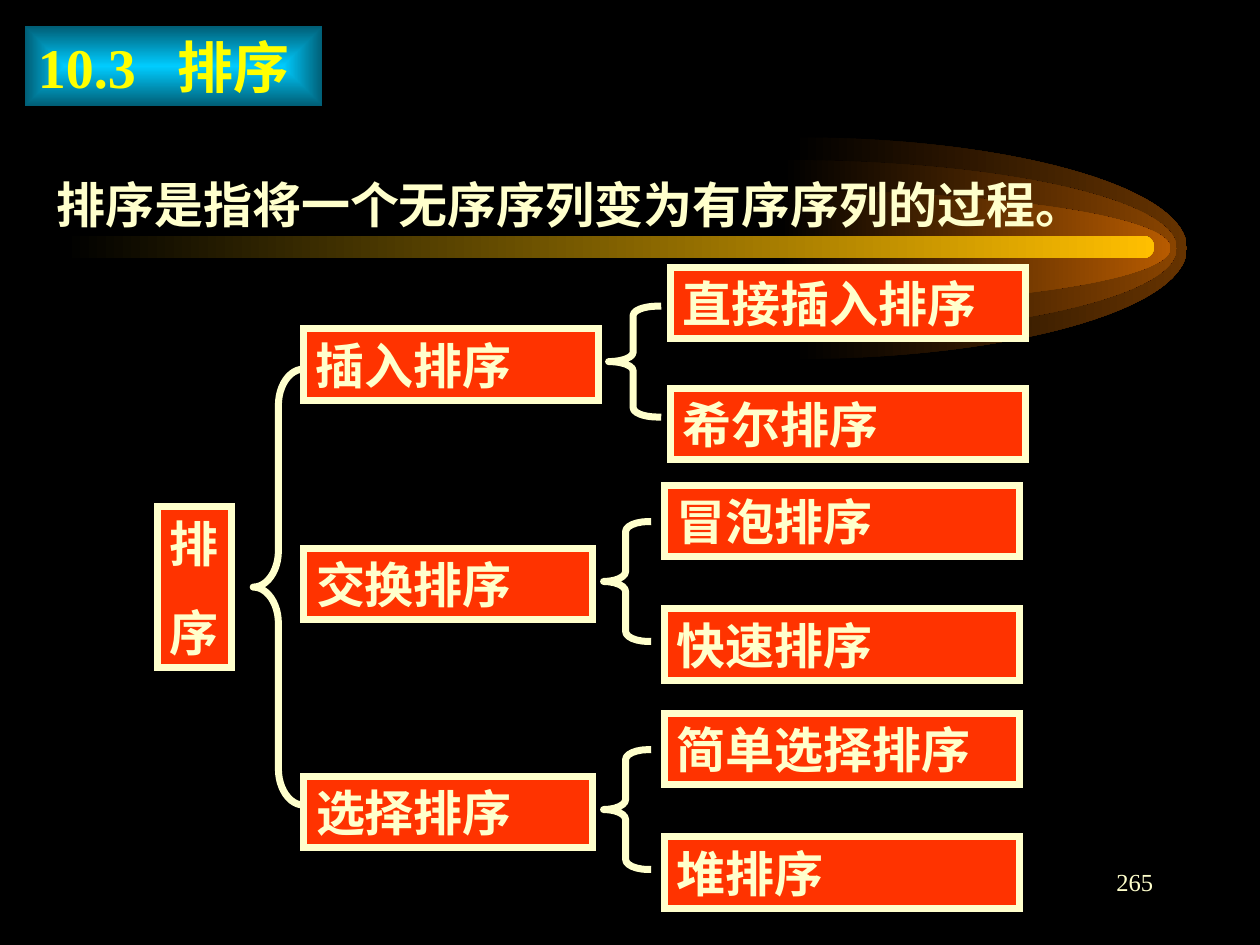
from lxml import etree
from pptx import Presentation
from pptx.dml.color import RGBColor
from pptx.enum.shapes import MSO_SHAPE as SHAPE
from pptx.enum.text import MSO_ANCHOR as ANCHOR, MSO_AUTO_SIZE as AUTO_SIZE, PP_ALIGN as ALIGN
from pptx.oxml.ns import qn
from pptx.util import Inches, Pt

COLORS = {
    "black": "000000",
    "cream": "FFFFCC",
    "red": "FF3300",
    "yellow": "FFFF00",
    "gold": "FFBF00",
    "cyan": "00CCFF",
    "teal": "005E76",
    "brown": "663300",
    "copper": "894400",
    "orange": "B75B00",
}
color = {name: RGBColor.from_string(value) for name, value in COLORS.items()}


def add_text(paragraph, text, size, name="cream", bold=True):
    run = paragraph.add_run()
    run.text = text
    run.font.name = "Times New Roman"
    run.font.size = Pt(size)
    run.font.bold = bold
    run.font.color.rgb = color[name]


def fill_gradient(shape, start, end):
    shape.fill.gradient()
    shape.fill.gradient_angle = 0
    for stop, name in zip(shape.fill.gradient_stops, (start, end)):
        stop.color.rgb = color[name]


presentation = Presentation()
presentation.slide_width = Inches(10)
presentation.slide_height = Inches(7.5)
slide = presentation.slides.add_slide(presentation.slide_layouts[5])
slide.background.fill.solid()
slide.background.fill.fore_color.rgb = color["black"]
shapes = slide.shapes

comet_y = 1.97
radius_x = 3.13
bend = 0.55
for center_x, radius_y, name in [
    (6.29, 0.88, "brown"),
    (6.21, 0.7, "copper"),
    (6.16, 0.46, "orange"),
]:
    builder = shapes.build_freeform(Inches(center_x), Inches(comet_y - radius_y))
    builder.add_line_segments(
        [
            (Inches(center_x + radius_x), Inches(comet_y)),
            (Inches(center_x), Inches(comet_y + radius_y)),
        ],
        close=True,
    )
    glow = builder.convert_to_shape()
    controls = [
        [(bend, 0), (1, 1 - bend)],
        [(1, 1 + bend), (bend, 2)],
    ]
    for segment, pair in zip(list(glow.element.iter(qn("a:lnTo"))), controls):
        segment.tag = qn("a:cubicBezTo")
        for index, (across, down) in enumerate(pair):
            point = etree.Element(qn("a:pt"))
            point.set("x", str(Inches(radius_x * across)))
            point.set("y", str(Inches(radius_y * down)))
            segment.insert(index, point)
    glow.shadow.inherit = False
    glow.line.fill.background()
    fill_gradient(glow, "black", name)

streak = shapes.add_shape(
    SHAPE.ROUNDED_RECTANGLE, Inches(0.5), Inches(1.87), Inches(8.66), Inches(0.18)
)
streak.adjustments[0] = 0.5
streak.shadow.inherit = False
streak.line.fill.background()
fill_gradient(streak, "black", "gold")

title = shapes.title
title.left, title.top = Inches(0.2), Inches(0.21)
title.width, title.height = Inches(2.36), Inches(0.63)
fill_gradient(title, "cyan", "teal")
gradient = title.fill._xPr.find(qn("a:gradFill"))
gradient.remove(gradient.find(qn("a:lin")))
center_fill = etree.SubElement(gradient, qn("a:path"), {"path": "rect"})
etree.SubElement(center_fill, qn("a:fillToRect"), dict.fromkeys("ltrb", "50000"))
title.text_frame.auto_size = AUTO_SIZE.NONE
title.text_frame.word_wrap = False
title.text_frame.margin_right = 0
title.text_frame.vertical_anchor = ANCHOR.TOP
title_paragraph = title.text_frame.paragraphs[0]
title_paragraph.alignment = ALIGN.LEFT
add_text(title_paragraph, "10.3   排序", 32, "yellow")

definition = shapes.add_textbox(Inches(0.35), Inches(1.15), Inches(8.66), Inches(0.76))
definition.text_frame.word_wrap = True
definition_paragraph = definition.text_frame.paragraphs[0]
definition_paragraph.line_spacing = 1.4
add_text(definition_paragraph, "排序是指将一个无序序列变为有序序列的过程。", 28)

box_height = 0.57
leaf_width = 2.82
boxes = [
    (["排", "序"], 1.25, 4.02, 0.59, 1.28),
    (["插入排序"], 2.41, 2.61, 2.34, box_height),
    (["交换排序"], 2.41, 4.35, 2.29, box_height),
    (["选择排序"], 2.41, 6.16, 2.29, box_height),
    (["直接插入排序"], 5.32, 2.12, leaf_width, box_height),
    (["希尔排序"], 5.32, 3.08, leaf_width, box_height),
    (["冒泡排序"], 5.27, 3.85, leaf_width, box_height),
    (["快速排序"], 5.27, 4.83, leaf_width, box_height),
    (["简单选择排序"], 5.27, 5.66, leaf_width, box_height),
    (["堆排序"], 5.27, 6.64, leaf_width, box_height),
]
braces = [
    (2.01, 2.93, 0.4, 3.46),
    (4.83, 2.43, 0.39, 0.88),
    (4.79, 4.14, 0.35, 0.95),
    (4.79, 5.95, 0.35, 0.95),
]

for left, top, width, height in braces:
    brace = shapes.add_shape(
        SHAPE.LEFT_BRACE, Inches(left), Inches(top), Inches(width), Inches(height)
    )
    brace.adjustments[0] = height / 12 / width
    brace.shadow.inherit = False
    brace.fill.background()
    brace.line.color.rgb = color["cream"]
    brace.line.width = Pt(4)
    brace.line._get_or_add_ln().set("cap", "sq")

for lines, left, top, width, height in boxes:
    box = shapes.add_shape(
        SHAPE.RECTANGLE, Inches(left), Inches(top), Inches(width), Inches(height)
    )
    box.shadow.inherit = False
    box.fill.solid()
    box.fill.fore_color.rgb = color["red"]
    box.line.color.rgb = color["cream"]
    box.line.width = Pt(4)
    etree.SubElement(box.line._get_or_add_ln(), qn("a:miter"), {"lim": "800000"})
    frame = box.text_frame
    frame.word_wrap = len(lines) == 1
    frame.vertical_anchor = ANCHOR.MIDDLE
    for index, line in enumerate(lines):
        paragraph = frame.add_paragraph() if index else frame.paragraphs[0]
        paragraph.alignment = ALIGN.LEFT
        if index:
            paragraph.space_before = Pt(17.5)
        add_text(paragraph, line, 28)

page_number = shapes.add_textbox(Inches(7.17), Inches(6.83), Inches(2.08), Inches(0.5))
page_number.text_frame.word_wrap = True
page_paragraph = page_number.text_frame.paragraphs[0]
page_paragraph.alignment = ALIGN.RIGHT
add_text(page_paragraph, "265", 14, bold=False)

presentation.save("out.pptx")
